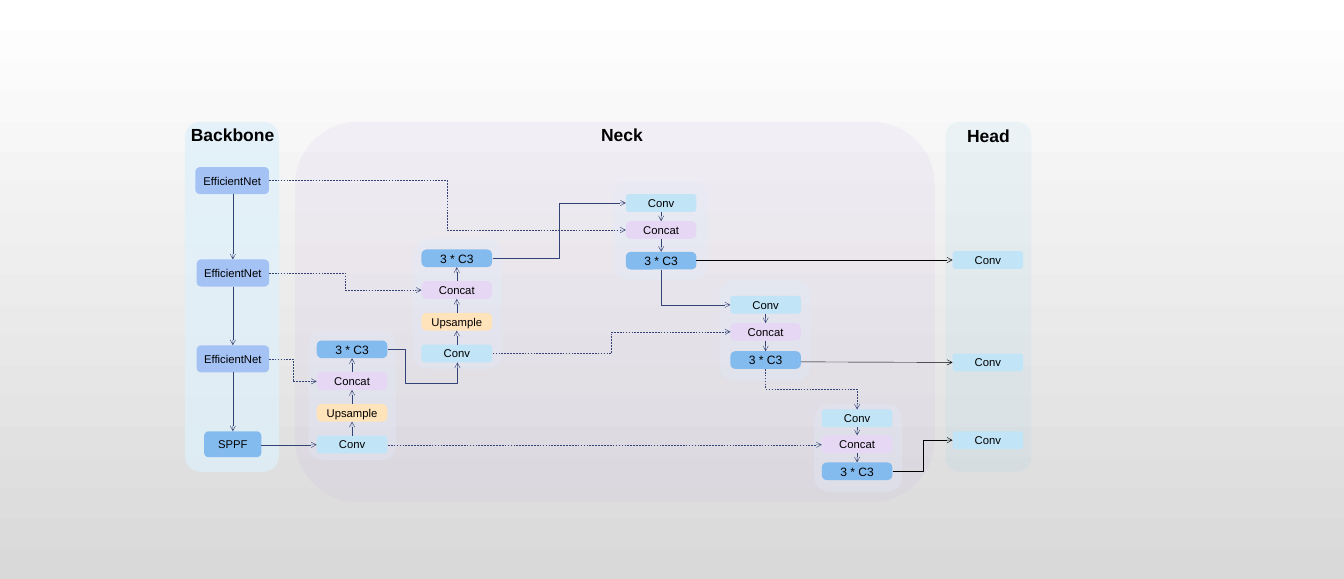
from lxml.etree import SubElement
from pptx import Presentation
from pptx.dml.color import RGBColor as RGB
from pptx.enum.dml import MSO_LINE
from pptx.enum.shapes import MSO_CONNECTOR as CONN, MSO_SHAPE as SHAPE
from pptx.enum.text import MSO_ANCHOR as ANCHOR, PP_ALIGN as ALIGN
from pptx.oxml.ns import qn
from pptx.util import Pt

C = {
    "white": "FFFFFF", "gray": "D9D9D9", "text": "000000",
    "navy": "324274", "black": "000000",
    "head": "9BD5F0", "neck": "C7A3E4", "backbone": "DEF0FA", "stack": "DFEAFA",
    "Conv": "C1E4F6", "Concat": "E6D8F5", "Upsample": "FFE3BB",
    "3 * C3": "84BBEE", "SPPF": "84BBEE", "EfficientNet": "A4C2F4",
}
ROUND, ALT = SHAPE.ROUNDED_RECTANGLE, SHAPE.FLOWCHART_ALTERNATE_PROCESS
BLOCK_W, BLOCK_H = 86.4, 21.6

prs = Presentation()
prs.slide_width, prs.slide_height = Pt(1643.76), Pt(708.48)
s = prs.slides.add_slide(prs.slide_layouts[6])

bg = s.background.fill
bg.gradient()
bg.gradient_angle = 270
for stop, color, pos in zip(bg.gradient_stops, ("white", "gray"), (0, 1)):
    stop.color.rgb = RGB.from_string(C[color])
    stop.position = pos


def add_block(name, x, y, w=BLOCK_W, h=BLOCK_H):
    sp = s.shapes.add_shape(ALT if name == "Conv" else ROUND, Pt(x), Pt(y), Pt(w), Pt(h))
    if name in ("Concat", "Upsample", "3 * C3"):
        sp.adjustments[0] = 0.285
    sp.shadow.inherit = False
    sp.fill.solid()
    sp.fill.fore_color.rgb = RGB.from_string(C[name])
    sp.line.fill.background()
    tf = sp.text_frame
    tf.word_wrap = True
    tf.vertical_anchor = ANCHOR.MIDDLE
    tf.margin_left = tf.margin_right = Pt(5.8)
    tf.margin_top = tf.margin_bottom = 0
    p = tf.paragraphs[0]
    p.alignment = ALIGN.CENTER
    r = p.add_run()
    r.text = name
    r.font.name = "Arial"
    r.font.size = Pt(14.8 if name == "3 * C3" else 13.8)
    r.font.color.rgb = RGB.from_string(C["text"])


def add_arrow(x1, y1, x2, y2, color="navy", dash=False, preset=None, adj=(), turned=False):
    if turned:
        cx, cy, dx, dy = (x1 + x2) / 2, (y1 + y2) / 2, (x2 - x1) / 2, (y2 - y1) / 2
        x1, y1, x2, y2 = cx - dy, cy + dx, cx + dy, cy - dx
    kind = CONN.ELBOW if preset else CONN.STRAIGHT
    c = s.shapes.add_connector(kind, Pt(x1), Pt(y1), Pt(x2), Pt(y2))
    c.line.color.rgb = RGB.from_string(C[color])
    c.line.width = Pt(0.5)
    if dash:
        c.line.dash_style = MSO_LINE.DASH
    spPr = c._element.spPr
    SubElement(spPr.find(qn("a:ln")), qn("a:tailEnd"), type="arrow")
    SubElement(spPr, qn("a:effectLst"))
    if turned:
        spPr.find(qn("a:xfrm")).set("rot", "5400000")
    if preset:
        geom = spPr.find(qn("a:prstGeom"))
        geom.set("prst", preset)
        for i, val in enumerate(adj, 1):
            SubElement(geom.find(qn("a:avLst")), qn("a:gd"), name=f"adj{i}", fmla=f"val {val}")


panels = [
    (ROUND, "head", 13, 1156.3, 149, 105.1, 428.4),
    (ROUND, "neck", 10, 360.7, 149, 782.6, 465.8),
    (ALT, "backbone", 74, 226.1, 149, 115.2, 428.4),
    (ROUND, "stack", 35, 377.3, 404.6, 107.3, 158.4),
    (ROUND, "stack", 35, 505.4, 292.3, 109.4, 159.1),
    (ROUND, "stack", 35, 750.2, 221.8, 115.9, 121),
    (ROUND, "stack", 35, 879.8, 342.7, 111.6, 123.8),
    (ROUND, "stack", 35, 995.8, 494.6, 107.3, 107.3),
]
for shape, color, alpha, x, y, w, h in panels:
    sp = s.shapes.add_shape(shape, Pt(x), Pt(y), Pt(w), Pt(h))
    sp.shadow.inherit = False
    sp.fill.solid()
    sp.fill.fore_color.rgb = RGB.from_string(C[color])
    srgb = sp._element.spPr.find(qn("a:solidFill")).find(qn("a:srgbClr"))
    SubElement(srgb, qn("a:alpha"), val=str(alpha * 1000))
    sp.line.fill.background()

for label, x, y, w in [("Backbone", 219.6, 148.3, 129.6), ("Neck", 706.3, 148.3, 108.7),
                       ("Head", 1144.1, 149, 129.6)]:
    tf = s.shapes.add_textbox(Pt(x), Pt(y), Pt(w), Pt(33.1)).text_frame
    tf.word_wrap = True
    p = tf.paragraphs[0]
    p.alignment = ALIGN.CENTER
    r = p.add_run()
    r.text = label
    r.font.name = "Arial"
    r.font.size = Pt(21.4)
    r.font.bold = True
    r.font.color.rgb = RGB.from_string(C["text"])

backbone = [
    ("EfficientNet", 239, 204.5, 90, 33.1),
    ("EfficientNet", 240.5, 317.5, 88.6, 33.1),
    ("EfficientNet", 240.5, 422.6, 88.6, 33.1),
    ("SPPF", 249.8, 527.8, 69.8, 31.7),
]
for block in backbone:
    add_block(*block)
for upper, lower in zip(backbone, backbone[1:]):
    add_arrow(284.8, upper[2] + upper[4], 284.8, lower[2])

UP_STEP = 38.8
for x, top in [(387.4, 416.7), (515.5, 305.3)]:
    for i, name in enumerate(["3 * C3", "Concat", "Upsample", "Conv"]):
        y = top + i * UP_STEP
        add_block(name, x, y)
        if i:
            add_arrow(x + BLOCK_W / 2, y, x + BLOCK_W / 2, y - UP_STEP + BLOCK_H)

for x, tops in [(765.4, (237.6, 270.7, 308.2)), (893.2, (362.2, 395.3, 429.8)),
                (1005.1, (501.1, 532.8, 565.9))]:
    for name, y in zip(["Conv", "Concat", "3 * C3"], tops):
        add_block(name, x, y)
    for upper, lower in zip(tops, tops[1:]):
        add_arrow(x + BLOCK_W / 2, upper + BLOCK_H, x + BLOCK_W / 2, lower)

for y in (307.4, 432.7, 527.8):
    add_block("Conv", 1165, y)

ELBOW = "bentConnector3"
add_arrow(319.7, 544.3, 387.4, 544.3)
add_arrow(474.5, 544.3, 1005.1, 544.3, dash=True)
for ends in [(329, 221, 765.4, 281.5), (329, 334.1, 515.5, 355),
             (329, 439.2, 387.4, 466.6), (602.6, 432.7, 893.5, 406.1)]:
    add_arrow(*ends, dash=True, preset=ELBOW)
add_arrow(602.6, 316.1, 765.4, 248.4, preset=ELBOW)
add_arrow(474.5, 427.7, 559.4, 443.5, preset="bentConnector4", adj=(24400, 257600))
add_arrow(808.6, 329.8, 893.2, 373, preset="bentConnector2", turned=True)
add_arrow(936.4, 451.4, 1048.3, 501.1, dash=True, preset=ELBOW, turned=True)
add_arrow(851.8, 318.2, 1165, 318.2, "black")
add_arrow(979.6, 442.8, 1165, 443.5, "black")
add_arrow(1092.2, 576.7, 1165, 538.6, "black", preset=ELBOW)

prs.save("out.pptx")
